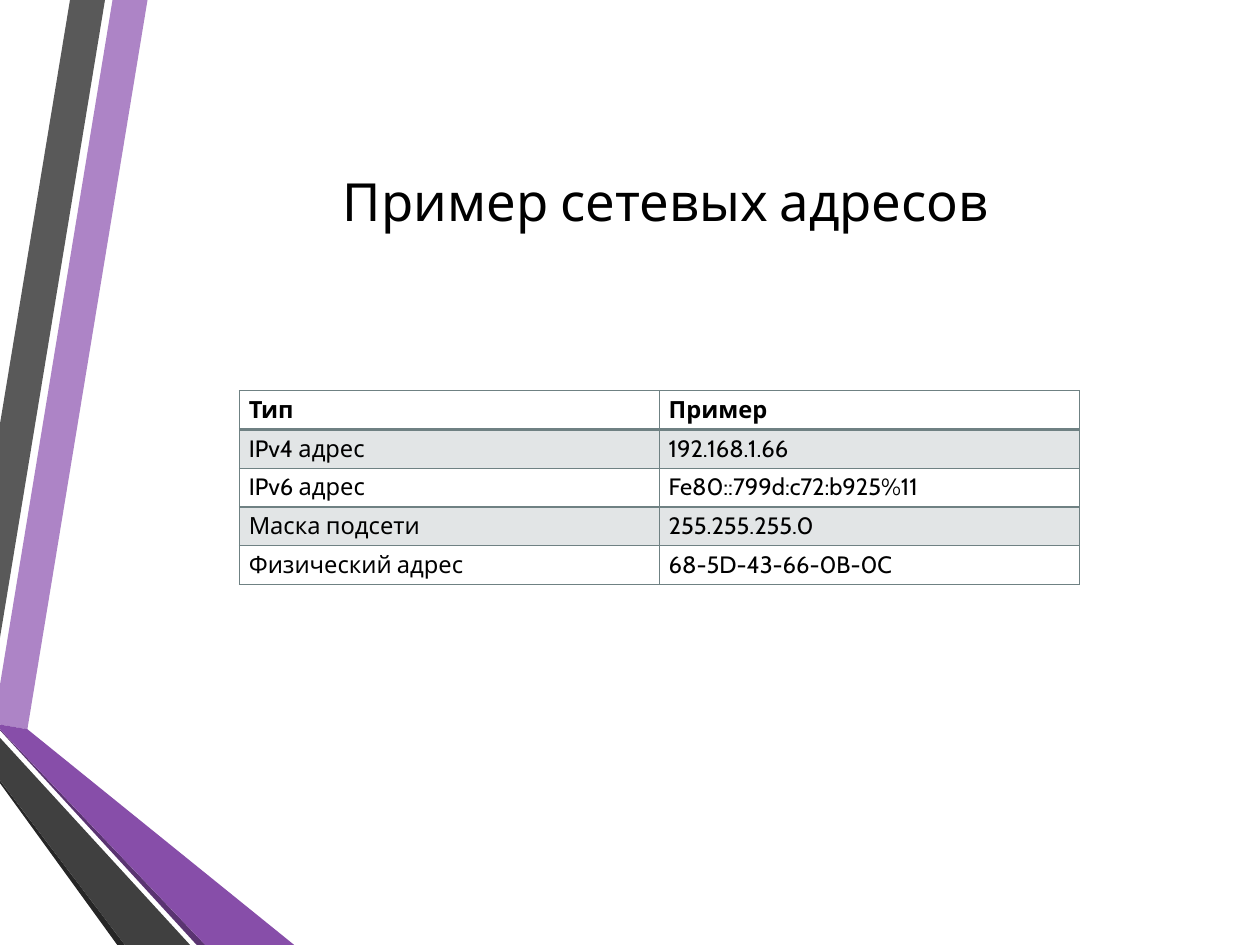
import pptx
import pptx.util
import pptx.dml.color
import pptx.enum.text
import pptx.oxml
import pptx.oxml.ns
from pptx.util import Inches

TITLE = "Пример сетевых адресов"
ROWS = [
    ("Тип", "Пример"),
    ("IPv4 адрес", "192.168.1.66"),
    ("IPv6 адрес", "Fe80::799d:c72:b925%11"),
    ("Маска подсети", "255.255.255.0"),
    ("Физический адрес", "68-5D-43-66-0B-0C"),
]
FONT = "Cabin"
COLORS = {
    "text": "000000", "grid": "6F8183",
    "lilac": "AD84C6", "violet": "874EA9", "plum": "5A3471",
    "gray": "595959", "charcoal": "404040", "black": "262626",
}
# Ribbons, back to front: colour and outline in inches
RIBBONS = [
    ("lilac", [(0, 7.24), (0, 7.66), (0.29, 7.71), (1.56, 0), (1.19, 0)]),
    ("gray", [(1.11, 0), (0.74, 0), (0, 4.48), (0, 6.74)]),
    ("black", [(0, 8.25), (0, 8.28), (1.24, 9.99), (1.32, 9.99)]),
    ("plum", [(0, 7.71), (0, 7.72), (2.08, 9.99), (2.17, 9.99)]),
    ("violet", [(0, 7.71), (2.17, 9.99), (3.11, 9.99), (0.29, 7.71), (0, 7.66)]),
    ("charcoal", [(0, 8.25), (1.32, 9.99), (2.01, 9.99), (0, 7.8)]),
]
COL_WIDTH, ROW_HEIGHT = 4.44, 0.41
BAND_ALPHA = 20


def rgb(name):
    return pptx.dml.color.RGBColor.from_string(COLORS[name])


def style(p, size, bold=False):
    for r in p.runs:
        r.font.name = FONT
        r.font.size = pptx.util.Pt(size)
        r.font.bold = bold
        r.font.color.rgb = rgb("text")


def set_borders(cell, widths):
    tc_pr = cell._tc.get_or_add_tcPr()
    for side, width in zip("LRTB", widths):
        tc_pr.append(pptx.oxml.parse_xml(
            f'<a:ln{side} {pptx.oxml.ns.nsdecls("a")} w="{pptx.util.Pt(width)}">'
            f'<a:solidFill><a:srgbClr val="{COLORS["grid"]}"/></a:solidFill></a:ln{side}>'))


def fill_band(cell):
    cell.fill.solid()
    cell.fill.fore_color.rgb = rgb("grid")
    clr = cell._tc.tcPr.find(pptx.oxml.ns.qn("a:solidFill"))[0]
    clr.append(pptx.oxml.parse_xml(
        f'<a:alpha {pptx.oxml.ns.nsdecls("a")} val="{BAND_ALPHA * 1000}"/>'))


prs = pptx.Presentation()
prs.slide_width, prs.slide_height = Inches(13.32), Inches(9.99)
s = prs.slides.add_slide(prs.slide_layouts[6])

# Ribbons on the left edge
for color, points in RIBBONS:
    start, *rest = [(Inches(x), Inches(y)) for x, y in points]
    builder = s.shapes.build_freeform(*start)
    builder.add_line_segments(rest, close=True)
    sp = builder.convert_to_shape()
    sp.shadow.inherit = False
    sp.fill.solid()
    sp.fill.fore_color.rgb = rgb(color)
    sp.line.fill.background()

# Title
tf = s.shapes.add_textbox(Inches(1.43), Inches(0.67), Inches(11.22), Inches(2.89)).text_frame
tf.word_wrap = True
tf.vertical_anchor = pptx.enum.text.MSO_ANCHOR.MIDDLE
tf.text = TITLE
tf.paragraphs[0].alignment = pptx.enum.text.PP_ALIGN.CENTER
style(tf.paragraphs[0], 40)

# Address table
table = s.shapes.add_table(
    len(ROWS), len(ROWS[0]), Inches(2.53), Inches(4.13),
    Inches(COL_WIDTH * len(ROWS[0])), Inches(ROW_HEIGHT * len(ROWS))).table
table.first_row = table.horz_banding = False
for column in table.columns:
    column.width = Inches(COL_WIDTH)
for i, values in enumerate(ROWS):
    table.rows[i].height = Inches(ROW_HEIGHT)
    for j, value in enumerate(values):
        cell = table.cell(i, j)
        cell.text_frame.text = value
        style(cell.text_frame.paragraphs[0], 18, bold=i == 0)
        # The rule under the header is twice as thick
        set_borders(cell, (1, 1, 2 if i == 1 else 1, 2 if i == 0 else 1))
        if i % 2:
            fill_band(cell)
        else:
            cell.fill.background()

prs.save("out.pptx")
